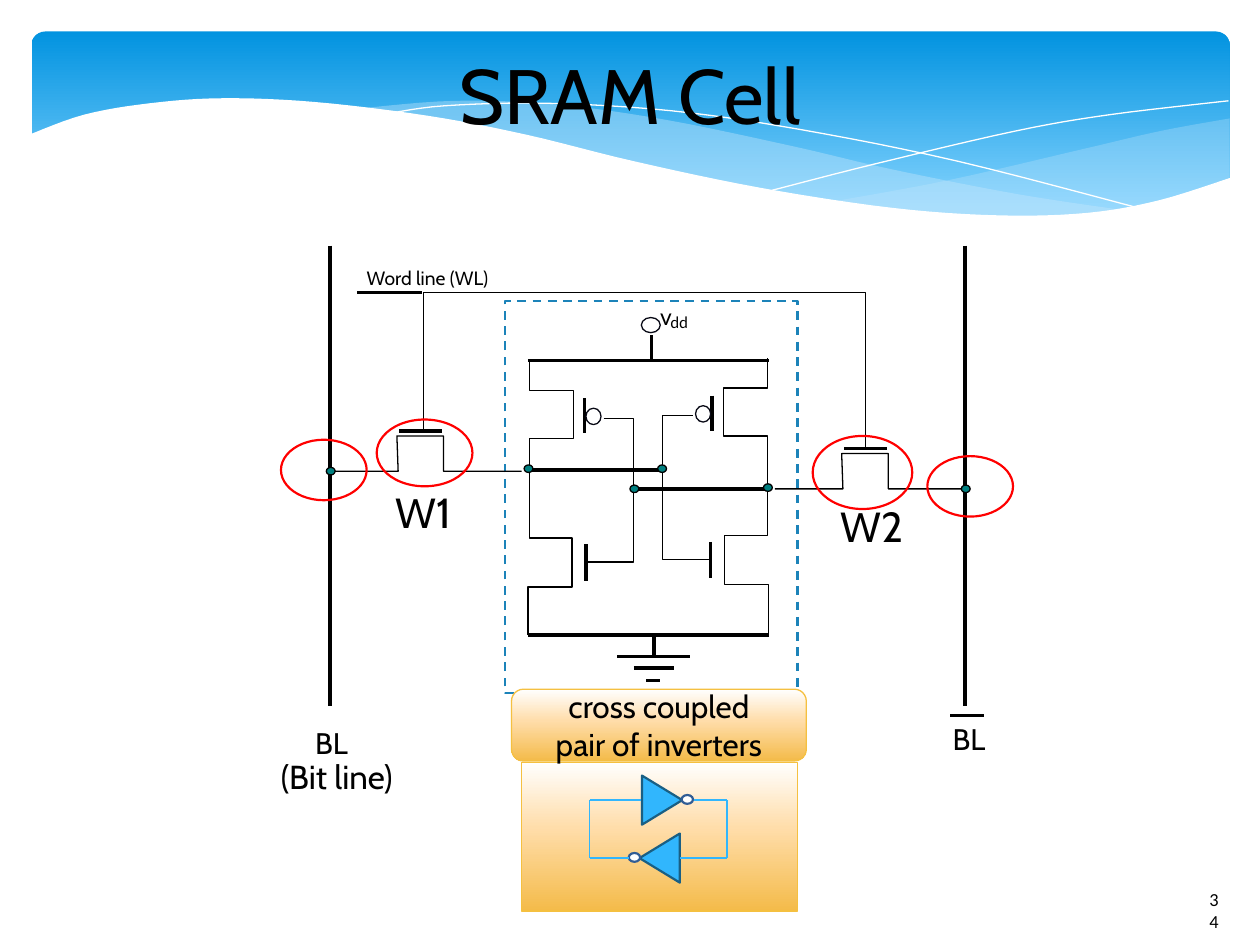
"""Build the SRAM cell slide on a grid of 100 columns by 75 rows."""
import copy
import dataclasses
import typing

import lxml.etree
import pptx
import pptx.dml.color
import pptx.enum.dml
import pptx.enum.shapes
import pptx.enum.text
import pptx.oxml.ns
import pptx.shapes.base
import pptx.slide
import pptx.text.text
import pptx.util

RGB = pptx.dml.color.RGBColor
MSO = pptx.enum.shapes.MSO_SHAPE
ALIGN = pptx.enum.text.PP_ALIGN
ANCHOR = pptx.enum.text.MSO_ANCHOR
qn = pptx.oxml.ns.qn
Point = tuple[float, float]
Box = tuple[float, float, float, float]

COLS, ROWS = 100, 75
CELL = pptx.util.Inches(0.1)
BLACK, WHITE = RGB(0, 0, 0), RGB(255, 255, 255)
INK = RGB(0x08, 0x09, 0x15)
RED = RGB(0xFF, 0, 0)
TEAL = RGB(0, 0x80, 0x80)
PALE = RGB(0xC6, 0xE7, 0xFC)
SKY = RGB(0x31, 0xB6, 0xFD)
NAVY = RGB(0x19, 0x5F, 0x84)
STEEL = RGB(0x31, 0x5D, 0x95)
FRAME = RGB(0x1C, 0x83, 0xB9)
GOLD = RGB(0xF5, 0xC0, 0x40)
HEADER = ((0, RGB(0x02, 0x93, 0xE0)), (0.9, RGB(0x83, 0xD3, 0xFE)))
AMBER = ((0, WHITE), (0.44, RGB(0xFF, 0xDD, 0xAA)), (1, RGB(0xF4, 0xBB, 0x4A)))


@dataclasses.dataclass(frozen=True)
class Look:
    """Fill and outline of a shape."""
    fill: typing.Any = None
    line: RGB | None = None
    width: float = 0
    alpha: int = 100
    dash: bool = False


@dataclasses.dataclass(frozen=True)
class Label:
    """A line of text placed at a grid position."""
    text: str
    box: Box
    size: float
    font: str = "Cabin"


WIRE = Look(line=BLACK)
BUBBLE = Look(line=INK)
NODE = Look(TEAL, BLACK)
RING = Look(line=RED, width=1.25)
PANEL = Look(AMBER, GOLD, 0.75)
LOOP = Look(line=SKY, width=0.75)
LABELS = [
    Label("v", (52.4, 24, 1.7, 2.4), 13, "Lato"),
    Label("dd", (53.2, 24.8, 2.1, 1.8), 9, "Lato"),
    Label("Word line (WL)", (29.1, 21.1, 11, 2.1), 11),
    Label("BL", (25, 57.5, 3.9, 3.2), 17),
    Label("BL", (75.6, 57.2, 3.9, 3.2), 17),
    Label("(Bit line)", (22.3, 60, 10.9, 3.5), 19),
    Label("W1", (31.4, 38.6, 6.5, 4.4), 24),
    Label("W2", (66.7, 39.7, 6.5, 4.4), 24),
]
NODES = [(41.6, 36.9), (60.6, 38.4), (50, 38.5), (52.2, 36.9), (25.9, 37.1), (76.3, 38.5)]
RINGS = [(29.9, 33.3, 7.6, 5.3), (22.3, 34.9, 6.8, 4.8),
         (64.5, 34.6, 7.9, 5.8), (73.6, 36.2, 6.8, 4.8)]
WIRES = [
    ((49, 52.1), (54.8, 52.1)), ((50.3, 53), (53.5, 53)), ((51.3, 54), (52.4, 54)),
    ((41.9, 37.3), (52.7, 37.3)), ((50.3, 38.8), (61, 38.8)),
    ((41.9, 50.4), (61, 50.4)), ((51.9, 52.1), (51.9, 50.4)),
    ((41.9, 28.6), (61, 28.6)), ((51.7, 28.5), (51.7, 26.6)),
    ((68.7, 35.5), (68.7, 23.2), (33.6, 23.2), (33.6, 34.1)),
    ((33.5, 23.2), (28.3, 23.2)), ((75.4, 56.8), (78.1, 56.8)),
]
BAND_RIGHT = ([(97.6, 9.4), (92.1, 10.4), (86.1, 11.8), (75.3, 14.3), (66.1, 16)],
              [(66.1, 16), (73.2, 16.8), (80.3, 17.2), (86.3, 17), (92.1, 16), (97.6, 14.1)])
BAND_MID = ([(89.3, 16.7), (80.7, 15.4), (70.6, 13.4), (62.9, 11.6), (52.8, 9.5),
             (44.2, 8.3), (36.1, 8), (28.6, 8.6)],
            [(28.6, 8.6), (36.2, 9.7), (44.9, 11.6), (56.6, 14.3), (66.5, 16.1),
             (77.3, 17.2), (83.8, 17.2), (89.3, 16.7)])
STRANDS = [[(30.9, 9), (35.3, 8.4), (43.3, 8.2), (53.3, 8.8), (63.6, 10.3), (76, 12.8),
            (90.7, 16.6)],
           [(61.3, 15.1), (69.5, 13), (80.6, 10.4), (88.1, 9.1), (97.5, 8)]]
WAVE = [(97.7, 14.1), (92, 15.9), (86.3, 16.9), (79.3, 17.1), (70.8, 16.5), (60.3, 14.9),
        (50.3, 12.8), (41.8, 10.7), (34, 9.2), (25, 8.1), (17.7, 7.8), (11.9, 8.2),
        (6.7, 9.1), (2.3, 10.7)]


def emu(*cells: float) -> list[int]:
    """Turn grid lengths into EMU."""
    return [round(c * CELL) for c in cells]


def spline(pts: list[Point], steps: int = 6) -> list[Point]:
    """Sample a Catmull-Rom curve through the points."""
    ends = [pts[0], *pts, pts[-1]]
    out = [pts[0]]
    for a, b, c, d in zip(ends, ends[1:], ends[2:], ends[3:]):
        for t in (i / steps for i in range(1, steps + 1)):
            out.append(tuple(
                q + t / 2 * (r - p + t * (2 * p - 5 * q + 4 * r - s + t * (3 * (q - r) + s - p)))
                for p, q, r, s in zip(a, b, c, d)))
    return out


def style(sp: pptx.shapes.base.BaseShape, look: Look) -> None:
    """Apply fill, outline and no shadow."""
    sp.shadow.inherit = False
    if look.fill is None:
        sp.fill.background()
    elif isinstance(look.fill, RGB):
        sp.fill.solid()
        sp.fill.fore_color.rgb = look.fill
        if look.alpha < 100:
            clr = sp._element.spPr.find(".//" + qn("a:srgbClr"))
            lxml.etree.SubElement(clr, qn("a:alpha"), val=str(look.alpha * 1000))
    else:
        sp.fill.gradient()
        sp.fill.gradient_angle = 270
        stops = sp._element.spPr.find(".//" + qn("a:gsLst"))
        while len(stops) < len(look.fill):
            stops.append(copy.deepcopy(stops[-1]))
        for stop, (position, color) in zip(sp.fill.gradient_stops, look.fill):
            stop.position, stop.color.rgb = position, color
    outline(sp, look)


def outline(sp: pptx.shapes.base.BaseShape, look: Look) -> None:
    """Apply the outline alone."""
    if look.line is None:
        sp.line.fill.background()
        return
    sp.line.color.rgb = look.line
    sp.line.width = pptx.util.Pt(look.width)
    if look.dash:
        sp.line.dash_style = pptx.enum.dml.MSO_LINE.DASH


def shape(s: pptx.slide.Slide, kind: MSO, box: Box, look: Look,
          rotation: float = 0) -> pptx.shapes.base.BaseShape:
    """Draw a preset shape."""
    sp = s.shapes.add_shape(kind, *emu(*box))
    sp.rotation = rotation
    style(sp, look)
    return sp


def wire(s: pptx.slide.Slide, pts: typing.Sequence[Point], look: Look = WIRE,
         close: bool = False) -> None:
    """Draw a connector for two points, or else an outline."""
    if len(pts) == 2:
        sp = s.shapes.add_connector(pptx.enum.shapes.MSO_CONNECTOR.STRAIGHT,
                                    *emu(*pts[0], *pts[1]))
        outline(sp, look)
        lxml.etree.SubElement(sp._element.spPr, qn("a:effectLst"))
        return
    fb = s.shapes.build_freeform(*emu(*pts[0]))
    fb.add_line_segments([emu(*pt) for pt in pts[1:]], close=close)
    style(fb.convert_to_shape(), look)


def write(tf: pptx.text.text.TextFrame, text: str, size: float, font: str = "Cabin",
          align: ALIGN = ALIGN.LEFT, **frame: typing.Any) -> None:
    """Fill a text frame, one paragraph to a line."""
    for name, value in frame.items():
        setattr(tf, name, value)
    tf.text = text
    for p in tf.paragraphs:
        p.alignment = align
        for name, value in {"size": pptx.util.Pt(size), "name": font}.items():
            setattr(p.runs[0].font, name, value)
        p.runs[0].font.color.rgb = BLACK


def banner(s: pptx.slide.Slide) -> None:
    """Draw the header with its waves."""
    sp = shape(s, MSO.ROUNDED_RECTANGLE, (2.5, 2.5, 95.1, 15.6), Look(HEADER))
    sp.adjustments[0] = 0.07
    for (top, bottom), alpha in ((BAND_RIGHT, 29), (BAND_MID, 40)):
        wire(s, spline(top) + spline(bottom), Look(PALE, alpha=alpha), True)
    for strand in STRANDS:
        wire(s, spline(strand), Look(line=WHITE))
    wire(s, spline(WAVE) + [(2.3, 22.4), (97.7, 22.4)], Look(WHITE), True)


def half_cell(s: pptx.slide.Slide, mirror: bool) -> None:
    """Draw one inverter, mirrored about the middle of the cell."""
    def at(*pts: Point) -> list[Point]:
        return [(102.9 - x, y - 0.2) if mirror else (x, y) for x, y in pts]
    wire(s, at((42, 28.6), (42, 31), (45.5, 31), (45.5, 34.8), (42, 34.8), (42, 42.7),
               (45.4, 42.7), (45.4, 46.6), (41.9, 46.6), (41.9, 50.4)))
    wire(s, at((46.4, 31.6), (46.4, 34.4)))
    wire(s, at((46.5, 43.2), (46.5, 46.1)))
    wire(s, at((47.9, 33.2), (50.3, 33.2), (50.3, 44.6), (46.5, 44.6)))
    x, y = at((47.1, 33.05))[0]
    shape(s, MSO.OVAL, (x - 0.6, y - 0.65, 1.2, 1.3), BUBBLE)


def access(s: pptx.slide.Slide, dx: float, dy: float, bit_line: float) -> None:
    """Draw an access transistor and its bit line."""
    for pts in (((41.4, 37.4), (35.2, 37.4), (35.2, 34.6), (31.5, 34.6), (31.6, 37.4),
                 (26.2, 37.4)), ((31.7, 34.2), (35.1, 34.2))):
        wire(s, [(x + dx, y + dy) for x, y in pts])
    wire(s, ((bit_line, 19.5), (bit_line, 56)))


def main() -> None:
    """Build and save the slide."""
    prs = pptx.Presentation()
    prs.slide_width, prs.slide_height = emu(COLS, ROWS)
    s = prs.slides.add_slide(prs.slide_layouts[5])
    banner(s)
    shape(s, MSO.RECTANGLE, (41.4, 60.5, 21.9, 11.8), PANEL)
    shape(s, MSO.RECTANGLE, (40.1, 23.9, 23.2, 31.1), Look(WHITE, FRAME, 1.25, dash=True))
    sp = shape(s, MSO.RECTANGLE, (95, 70, 2.8, 2.8), Look(WHITE))
    write(sp.text_frame, "34", 10.5, "Calibri", word_wrap=True, vertical_anchor=ANCHOR.TOP)
    title = s.shapes.title
    title.left, title.top, title.width, title.height = emu(2.5, 3.3, 95, 8.4)
    write(title.text_frame, "SRAM Cell", 44, align=ALIGN.CENTER, vertical_anchor=ANCHOR.TOP)
    s.shapes._spTree.append(title._element)
    for mirror in (False, True):
        half_cell(s, mirror)
    shape(s, MSO.OVAL, (50.9, 25.2, 1.5, 1.2), BUBBLE)
    for pts in WIRES:
        wire(s, pts)
    access(s, 0, 0, 26.2)
    access(s, 35.3, 1.4, 76.6)
    for x, y in NODES:
        shape(s, MSO.OVAL, (x, y, 0.7, 0.6), NODE)
    insets = dict.fromkeys(("margin_left", "margin_top", "margin_right", "margin_bottom"), 0)
    for label in LABELS:
        tf = s.shapes.add_textbox(*emu(*label.box)).text_frame
        write(tf, label.text, label.size, label.font, word_wrap=False, **insets)
    sp = shape(s, MSO.ROUNDED_RECTANGLE, (40.6, 54.7, 23.4, 5.7), PANEL)
    write(sp.text_frame, "cross coupled\npair of inverters", 18, align=ALIGN.CENTER,
          vertical_anchor=ANCHOR.MIDDLE)
    for x, y, rotation, tip in ((50.6, 61.9, 90, 54.1), (50.4, 66.5, 270, 49.9)):
        shape(s, MSO.ISOSCELES_TRIANGLE, (x, y, 3.9, 3.2), Look(SKY, NAVY, 1.25), rotation)
        shape(s, MSO.OVAL, (tip, y + 1.2, 0.9, 0.7), Look(WHITE, STEEL, 1.25))
    for start, side, end in ((49.9, 46.8, 50.9), (54, 57.7, 55.1)):
        corners = [(start, 68.1), (side, 68.1), (side, 63.5), (end, 63.5)]
        for segment in zip(corners, corners[1:]):
            wire(s, segment, LOOP)
    for box in RINGS:
        shape(s, MSO.OVAL, box, RING)
    prs.save("out.pptx")


if __name__ == "__main__":
    main()
